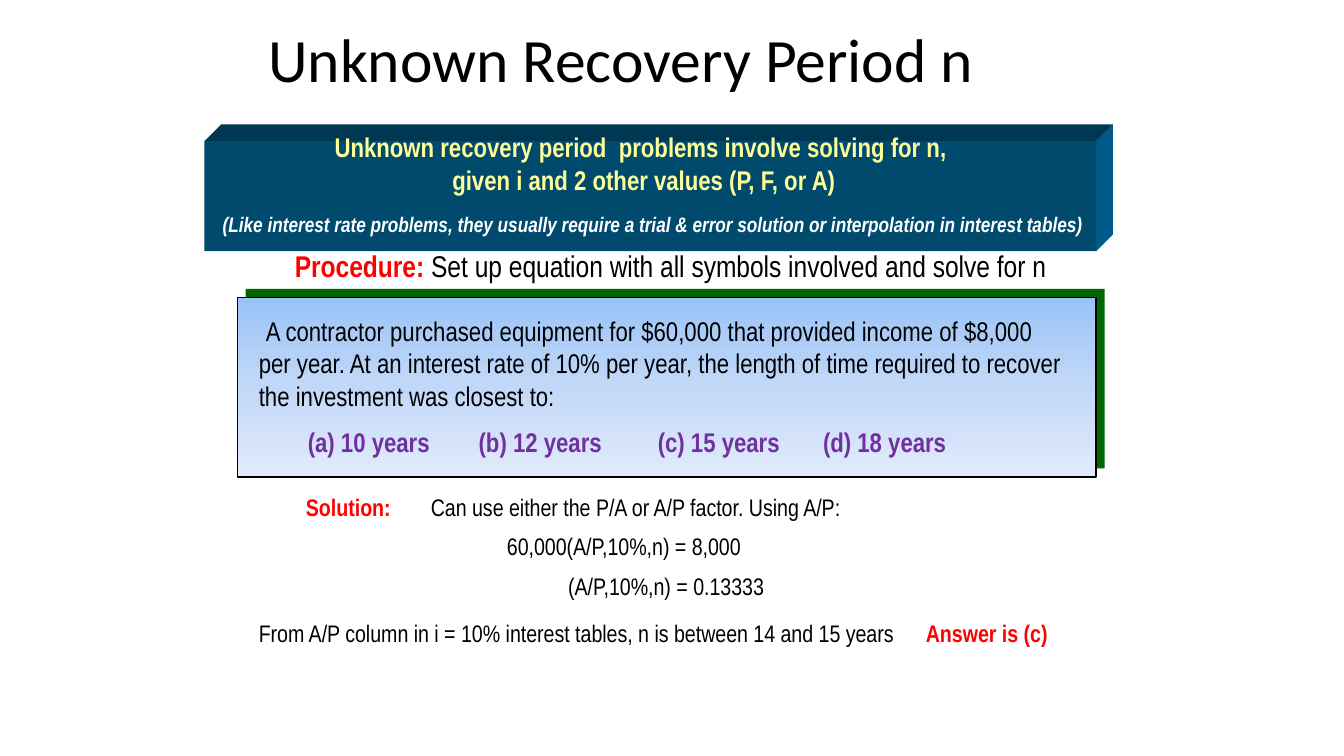
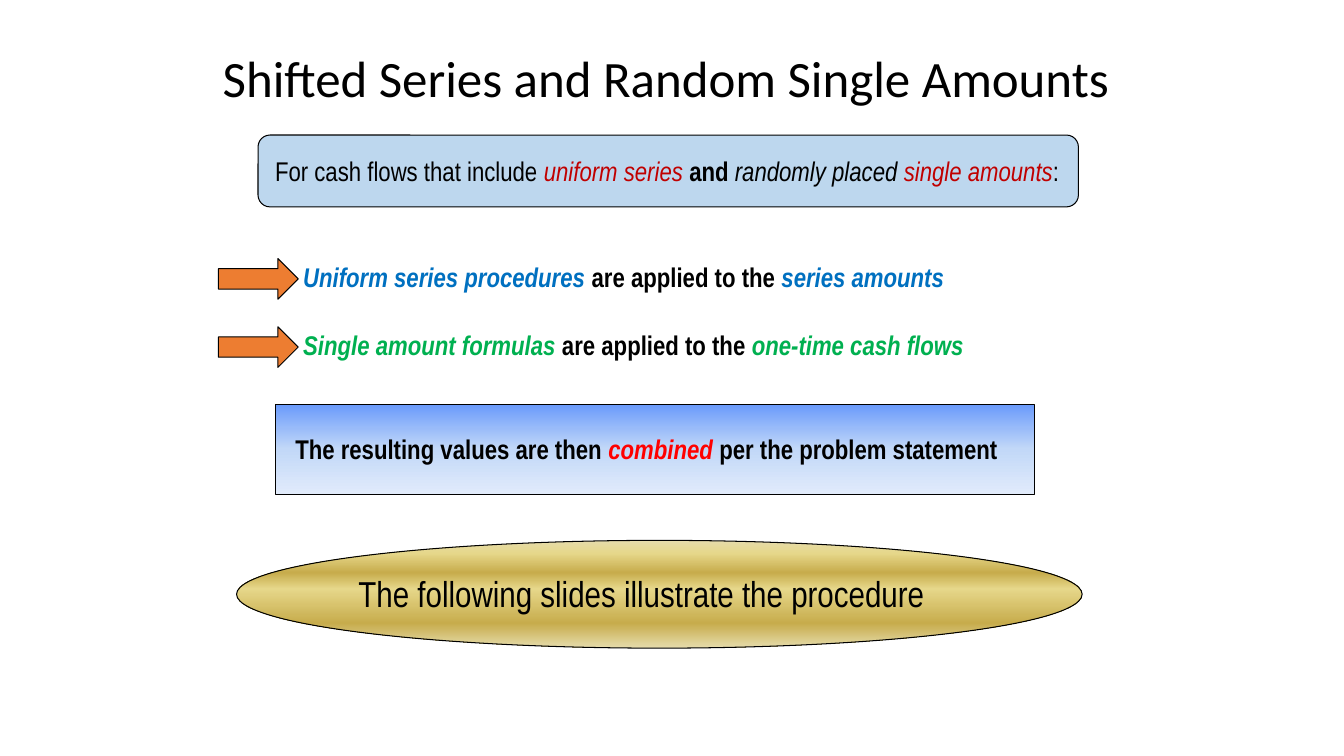
from dataclasses import dataclass
from typing import Any, NamedTuple

import pptx
import pptx.dml.color
import pptx.enum.shapes
import pptx.enum.text
import pptx.oxml.ns
import pptx.util
from lxml import etree

Pt = pptx.util.Pt
RGB = pptx.dml.color.RGBColor
qn = pptx.oxml.ns.qn
Kind = pptx.enum.shapes.MSO_SHAPE
Align = pptx.enum.text.PP_ALIGN
Anchor = pptx.enum.text.MSO_ANCHOR


@dataclass(frozen=True)
class Theme:
    head: str = "Calibri"
    body: str = "Arial Narrow"
    black: str = "000000"
    white: str = "FFFFFF"
    red: str = "FF0000"
    dark_red: str = "C00000"
    purple: str = "7030A0"
    blue: str = "0070C0"
    green: str = "00B050"
    yellow: str = "FFFF99"
    front: str = "004A6E"
    top: str = "003854"
    side: str = "005A8A"
    shade: str = "006600"
    pale: str = "BDD7EE"
    orange: str = "ED7D31"
    sky: tuple = ((0, "9AC3F5"), (50, "C2D8F8"), (100, "E1EBFB"))
    deep: tuple = ((0, "6B9BFB"), (50, "C2D8F8"), (100, "E1EBFB"))
    gold: tuple = ((0, "E6DCAC"), (12, "E6D78A"), (30, "C7AC4C"),
                   (45, "E6D78A"), (77, "C7AC4C"), (100, "E6DCAC"))
    title: float = 44
    title_low: float = 36.4
    large: float = 25.7
    lead: float = 21.4
    text: float = 19.3
    small: float = 17.1
    note: float = 15


THEME = Theme()


class Box(NamedTuple):
    x: float
    y: float
    w: float
    h: float


class Run(NamedTuple):
    text: str
    color: str = THEME.black
    bold: bool = False
    slant: bool = False


@dataclass(frozen=True)
class Para:
    runs: tuple[Run, ...]
    align: Any = None
    space: float = 0
    line: float = 1
    indent: float = 0
    tabs: tuple[float, ...] = ()


@dataclass(frozen=True)
class Label:
    box: Box
    runs: tuple[Run, ...]
    size: float = THEME.text


def set_tabs(para: Any, stops: tuple[float, ...]) -> None:
    group = etree.SubElement(para._p.get_or_add_pPr(), qn("a:tabLst"))
    for stop in stops:
        etree.SubElement(group, qn("a:tab"), pos=str(Pt(stop)), algn="l")


def add_text(slide: Any, box: Box, paras: list[Para], size: float,
             font: str = THEME.body, anchor: Any = Anchor.TOP) -> None:
    frame = slide.shapes.add_textbox(*map(Pt, box)).text_frame
    frame.word_wrap = True
    frame.vertical_anchor = anchor
    for index, item in enumerate(paras):
        para = frame.add_paragraph() if index else frame.paragraphs[0]
        para.alignment = item.align
        para.line_spacing = item.line
        if item.space:
            para.space_before = Pt(item.space)
        if item.indent:
            para._p.get_or_add_pPr().set("indent", str(Pt(item.indent)))
        if item.tabs:
            set_tabs(para, item.tabs)
        for part in item.runs:
            run = para.add_run()
            run.text = part.text
            run.font.name = font
            run.font.size = Pt(size)
            run.font.bold = part.bold
            run.font.italic = part.slant
            run.font.color.rgb = RGB.from_string(part.color)


def add_label(slide: Any, label: Label) -> None:
    add_text(slide, label.box, [Para(label.runs)], label.size)


def add_title(slide: Any, text: str, box: Box, size: float) -> None:
    add_text(slide, box, [Para((Run(text),), line=0.9)], size,
             THEME.head, Anchor.MIDDLE)


def paint(shape: Any, fill: str | tuple, line: float = 0) -> None:
    shape.shadow.inherit = False
    if isinstance(fill, str):
        shape.fill.solid()
        shape.fill.fore_color.rgb = RGB.from_string(fill)
    else:
        shape.fill.gradient()
        shape.fill.gradient_angle = 270
        group = shape._element.spPr.find(".//" + qn("a:gsLst"))
        for old in list(group):
            group.remove(old)
        for place, color in fill:
            stop = etree.SubElement(group, qn("a:gs"), pos=str(place * 1000))
            etree.SubElement(stop, qn("a:srgbClr"), val=color)
    if line:
        shape.line.width = Pt(line)
        shape.line.color.rgb = RGB.from_string(THEME.black)
    else:
        shape.line.fill.background()


def add_form(slide: Any, kind: Any, box: Box, fill: str | tuple,
             line: float = 0.75) -> None:
    paint(slide.shapes.add_shape(kind, *map(Pt, box)), fill, line)


def add_block(slide: Any, box: Box, depth: float) -> None:
    left, top, right, base = box.x, box.y, box.x + box.w, box.y + box.h
    back, high = right + depth, top - depth
    faces = (
        (THEME.top, ((left, top), (left + depth, high), (back, high), (right, top))),
        (THEME.side, ((right, top), (back, high), (back, base - depth), (right, base))),
    )
    for color, points in faces:
        first, *rest = [(Pt(x), Pt(y)) for x, y in points]
        path = slide.shapes.build_freeform(*first)
        path.add_line_segments(rest, close=True)
        paint(path.convert_to_shape(), color)
    add_form(slide, Kind.RECTANGLE, box, THEME.front, 0)


def draw_period(slide: Any) -> None:
    add_title(slide, "Unknown Recovery Period n", Box(184.5, 6.5, 590, 77), THEME.title)
    add_block(slide, Box(146, 100.8, 637, 78.6), 12)
    lines = ("Unknown recovery period  problems involve solving for n, ",
             "given i and 2 other values (P, F, or A)")
    add_text(slide, Box(221, 90, 478, 54),
             [Para((Run(line, THEME.yellow, True),), Align.CENTER) for line in lines],
             THEME.text)
    add_label(slide, Label(Box(152, 147.6, 637, 25), (Run(
        "(Like interest rate problems, they usually require a trial & error "
        "solution or interpolation in interest tables)", THEME.white, True, True),),
        THEME.note))
    add_label(slide, Label(Box(203.5, 173.5, 575, 33), (
        Run("Procedure:", THEME.red, True),
        Run(" Set up equation with all symbols involved and solve for n")), THEME.lead))

    card = Box(169.5, 212.4, 613.5, 128.2)
    add_form(slide, Kind.RECTANGLE, card._replace(x=card.x + 6, y=card.y - 6),
             THEME.shade, 0)
    add_form(slide, Kind.RECTANGLE, card, THEME.sky, 1)
    choices = ("(a) 10 years", "(b) 12 years", "(c) 15 years", "(d) 18 years")
    add_text(slide, Box(177.8, 221, 600, 112), [
        Para((Run("A contractor purchased equipment for $60,000 that provided "
                  "income of $8,000"),), indent=5),
        Para((Run("per year. At an interest rate of 10% per year, the length of "
                  "time required to recover"),)),
        Para((Run("the investment was closest to:"),)),
        Para((Run("".join("\t" + choice for choice in choices), THEME.purple, True),),
             space=10, tabs=(35, 157, 285, 403)),
    ], THEME.text)

    steps = (
        (211.5, 348, 80, Run("Solution:", THEME.red, True)),
        (300.7, 348, 330, Run("Can use either the P/A or A/P factor. Using A/P:")),
        (355, 376.5, 200, Run("60,000(A/P,10%,n) = 8,000")),
        (398.7, 405, 170, Run("(A/P,10%,n) = 0.13333")),
        (177.8, 438, 485, Run("From A/P column in i = 10% interest tables, "
                              "n is between 14 and 15 years")),
        (654.3, 438, 115, Run("Answer is (c)", THEME.red, True)),
    )
    for x, y, width, run in steps:
        add_label(slide, Label(Box(x, y, width, 28), (run,), THEME.small))


def draw_series(slide: Any) -> None:
    add_form(slide, Kind.FLOWCHART_ALTERNATE_PROCESS, Box(184.3, 96.5, 586, 51.3), THEME.pale)
    add_form(slide, Kind.OVAL, Box(169, 386, 604, 77), THEME.gold)
    add_form(slide, Kind.RECTANGLE, Box(196.6, 289, 542, 64), THEME.deep)
    add_title(slide, "Shifted Series and Random Single Amounts",
              Box(152, 13, 656, 90), THEME.title_low)
    add_label(slide, Label(Box(189.4, 106.5, 590, 31), (
        Run("For cash flows that include "),
        Run("uniform series ", THEME.dark_red, slant=True),
        Run("and ", bold=True),
        Run("randomly placed ", slant=True),
        Run("single amounts", THEME.dark_red, slant=True),
        Run(":"))))
    rules = (
        ("Uniform series procedures", "series amounts", THEME.blue),
        ("Single amount formulas", "one-time cash flows", THEME.green),
    )
    for index, (method, target, color) in enumerate(rules):
        y = 182.2 + 48.7 * index
        add_label(slide, Label(Box(209.5, y, 520, 31), (
            Run(method, color, True, True),
            Run(" are applied to the ", bold=True),
            Run(target, color, True, True))))
        add_form(slide, Kind.RIGHT_ARROW, Box(156, y + 2.5, 57, 29), THEME.orange)
    add_label(slide, Label(Box(203.8, 305.3, 530, 31), (
        Run("The resulting values are then ", bold=True),
        Run("combined", THEME.red, True, True),
        Run(" per the problem statement", bold=True))))
    add_label(slide, Label(Box(249, 404.6, 435, 38), (
        Run("The following slides illustrate the procedure"),), THEME.large))


def main() -> None:
    deck = pptx.Presentation()
    deck.slide_width, deck.slide_height = Pt(960), Pt(540)
    for draw in (draw_period, draw_series):
        draw(deck.slides.add_slide(deck.slide_layouts[6]))
    deck.save("out.pptx")


if __name__ == "__main__":
    main()
